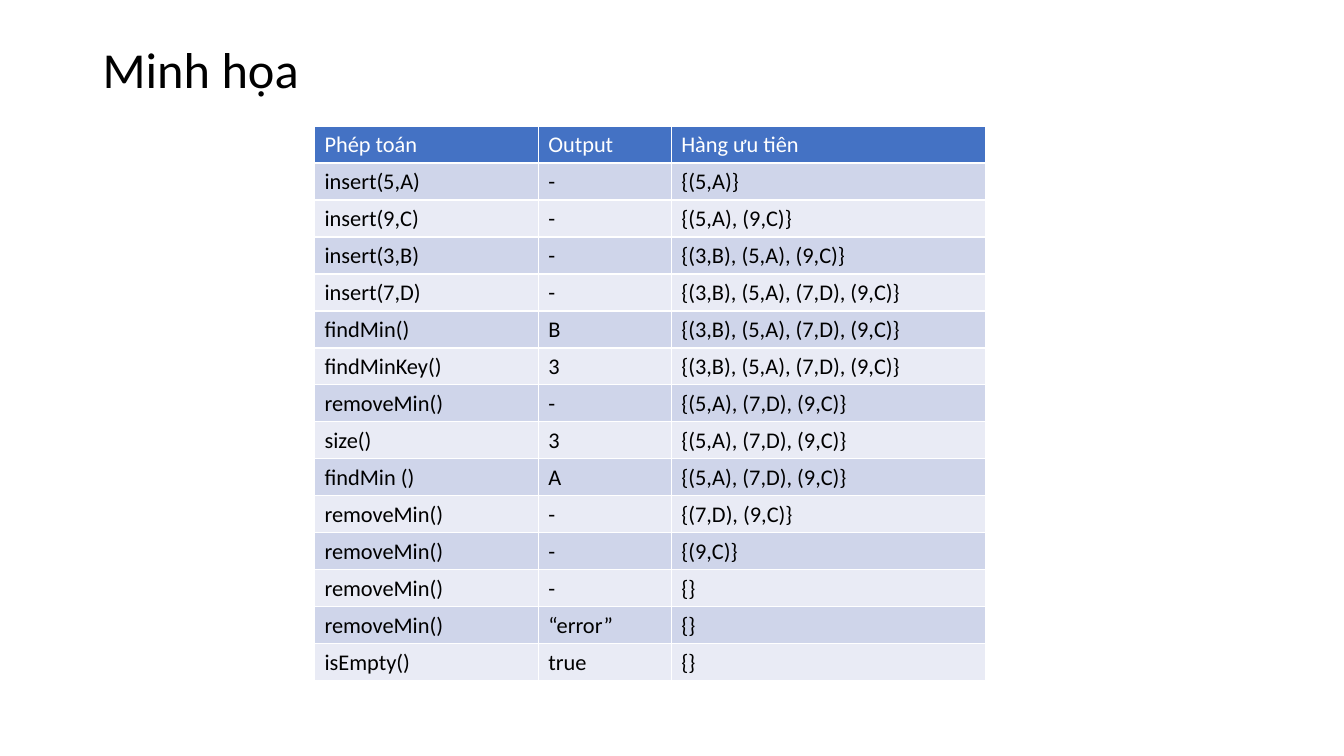
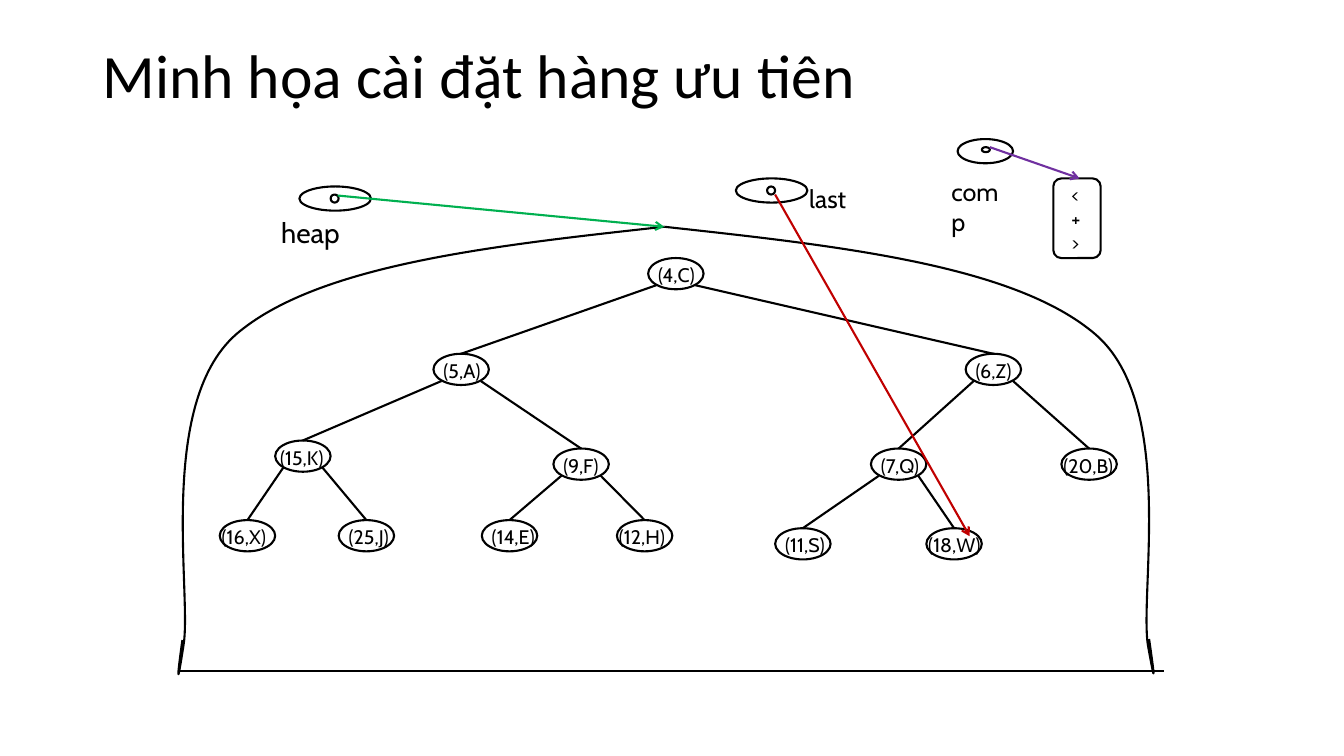
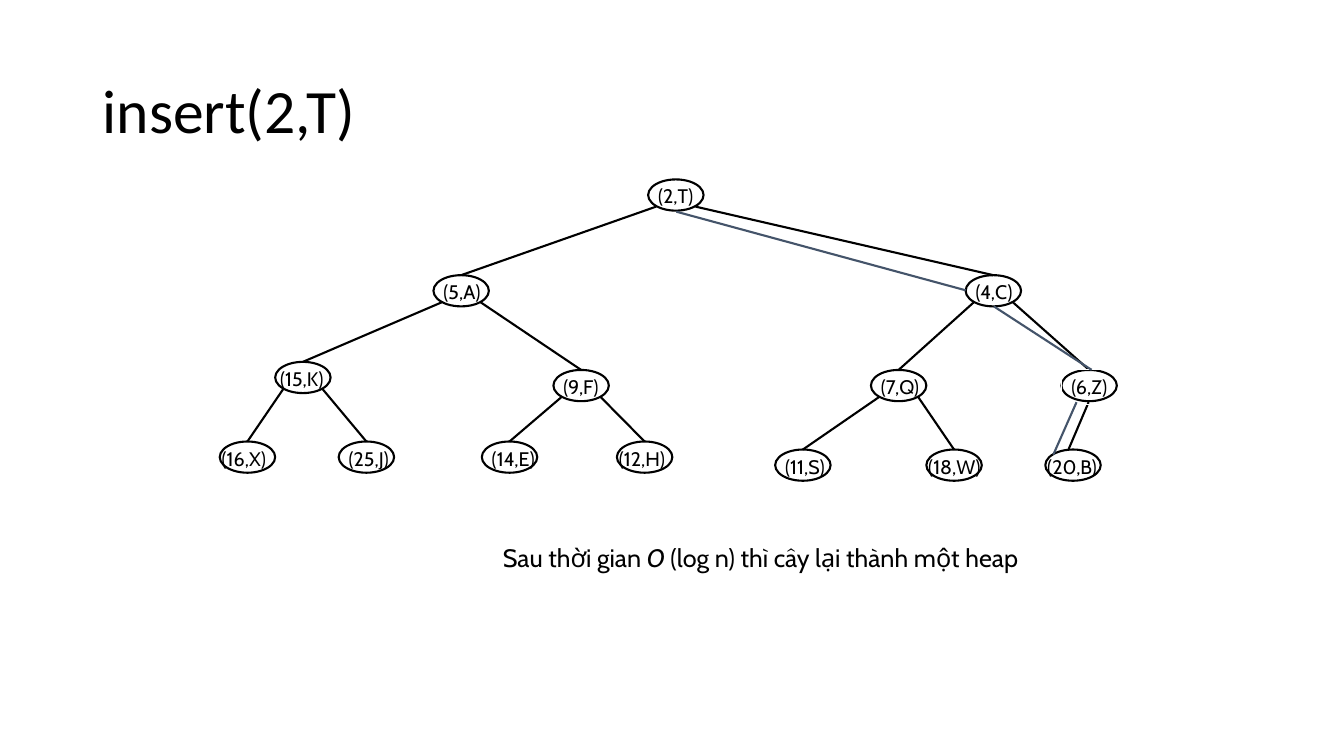
from lxml import etree
from pptx import Presentation
from pptx.dml.color import RGBColor
from pptx.enum.shapes import MSO_CONNECTOR, MSO_SHAPE
from pptx.enum.text import MSO_ANCHOR, MSO_AUTO_SIZE, PP_ALIGN
from pptx.oxml.ns import qn
from pptx.util import Inches, Pt

OVAL = MSO_SHAPE.OVAL
RECTANGLE = MSO_SHAPE.RECTANGLE
ROUNDED = MSO_SHAPE.ROUNDED_RECTANGLE
STRAIGHT = MSO_CONNECTOR.STRAIGHT
TOP = MSO_ANCHOR.TOP
MIDDLE = MSO_ANCHOR.MIDDLE
LEFT = PP_ALIGN.LEFT
GROW = MSO_AUTO_SIZE.SHAPE_TO_FIT_TEXT

COLORS = {
    "black": "000000", "white": "FFFFFF", "header": "4472C4",
    "odd": "CFD5EA", "even": "E9EBF5", "green": "00B050",
    "red": "C00000", "purple": "7030A0", "slate": "44546A",
}
TITLE_FONT = "Calibri"
BODY_FONT = "Cabin"

OPERATIONS = [
    ("Phép toán", "Output", "Hàng ưu tiên"),
    ("insert(5,A)", "-", "{(5,A)}"),
    ("insert(9,C)", "-", "{(5,A), (9,C)}"),
    ("insert(3,B)", "-", "{(3,B), (5,A), (9,C)}"),
    ("insert(7,D)", "-", "{(3,B), (5,A), (7,D), (9,C)}"),
    ("findMin()", "B", "{(3,B), (5,A), (7,D), (9,C)}"),
    ("findMinKey()", "3", "{(3,B), (5,A), (7,D), (9,C)}"),
    ("removeMin()", "-", "{(5,A), (7,D), (9,C)}"),
    ("size()", "3", "{(5,A), (7,D), (9,C)}"),
    ("findMin ()", "A", "{(5,A), (7,D), (9,C)}"),
    ("removeMin()", "-", "{(7,D), (9,C)}"),
    ("removeMin()", "-", "{(9,C)}"),
    ("removeMin()", "-", "{}"),
    ("removeMin()", "“error”", "{}"),
    ("isEmpty()", "true", "{}"),
]
TABLE_PLACE = (3.12, 1.25, 6.67, 5.5)
COLUMN_WIDTHS = (2.22, 1.32, 3.12)
ROW_HEIGHT = 0.35

NODE_WIDTH, NODE_HEIGHT = 0.55, 0.31
EDGE_INSET, EDGE_DROP = 0.08, 0.27
LABEL_HEIGHT = 0.34
TREE_FIELDS = ("left", "depth", "parent", "label_shift", "label_width")
TREE_ROWS = {
    "root": (6.43, 0, None, 0, 0.87),
    "left": (4.3, 0.95, "root", 0, 0.61),
    "right": (9.58, 0.95, "root", 0, 0.6),
    "15": (2.73, 1.81, "left", -0.05, 0.67),
    "9": (5.49, 1.89, "left", 0, 0.59),
    "7": (8.64, 1.89, "right", 0, 0.62),
    "last": (10.53, 1.89, "right", -0.08, 0.71),
    "16": (2.18, 2.6, "15", -0.08, 0.68),
    "25": (3.36, 2.6, "15", 0, 0.66),
    "14": (4.78, 2.6, "9", 0, 0.66),
    "12": (6.12, 2.6, "9", -0.08, 0.68),
    "18": (9.19, 2.68, "7", -0.08, 0.74),
    "11": (7.69, 2.68, "7", 0, 0.63),
}
TREE = {name: dict(zip(TREE_FIELDS, row)) for name, row in TREE_ROWS.items()}
HEAP_LABELS = {
    "root": "(4,C)", "left": "(5,A)", "right": "(6,Z)", "15": "(15,K)",
    "9": "(9,F)", "7": "(7,Q)", "last": "(20,B)", "16": "(16,X)",
    "25": "(25,J)", "14": "(14,E)", "12": "(12,H)", "11": "(11,S)",
    "18": "(18,W)",
}
BOXED_NODES = ("right", "18", "last")
INSERTED_LABELS = {name: label for name, label in HEAP_LABELS.items()
                   if name not in BOXED_NODES}
INSERTED_LABELS["root"] = "(2,T)"
BACK_BOXES = [
    ("(4,C)", (9.58, 2.73, 0.61, LABEL_HEIGHT), None),
    ("(20,B)", (10.29, 4.46, 0.71, LABEL_HEIGHT), None),
    ("(18,W)", (9.11, 4.46, 0.74, LABEL_HEIGHT), "white"),
]
FRONT_BOX = ("(6,Z)", (10.53, 3.67, 0.6, LABEL_HEIGHT), None)

HEAP_OUTLINES = [
    [(6.59, 2.25), (8.33, 2.44), (10.07, 2.63), (10.87, 3.32), (11.67, 4.01),
     (11.3, 5.9), (11.39, 6.41), (11.48, 6.91), (11.44, 6.62), (11.4, 6.34)],
    [(6.59, 2.25), (4.86, 2.44), (3.14, 2.63), (2.34, 3.32), (1.55, 4.02),
     (1.91, 5.91), (1.82, 6.41), (1.74, 6.92), (1.77, 6.63), (1.81, 6.35)],
]
POINTER_OVALS = [
    (2.97, 1.85, 0.71, 0.24), (3.28, 1.93, 0.08, 0.08),
    (7.3, 1.77, 0.71, 0.24), (7.61, 1.85, 0.08, 0.08),
    (9.5, 1.38, 0.55, 0.24), (9.74, 1.46, 0.08, 0.05),
]
POINTER_ARROWS = [
    ((3.35, 1.94), (6.59, 2.25), "green"),
    ((7.69, 1.93), (9.62, 5.32), "red"),
    ((9.82, 1.46), (10.71, 1.77), "purple"),
]
POINTER_LABELS = [
    ("heap", (2.69, 2.09, 0.79, 0.44), 20, False),
    ("last", (7.93, 1.77, 0.58, 0.4), 18, False),
    ("comp", (9.34, 1.7, 0.78, 0.4), 18, True),
]
UPHEAP_PATH = [
    ((10.45, 4.51), (10.68, 3.99)),
    ((10.83, 3.67), (9.86, 3.04)),
    ((9.58, 2.88), (6.71, 2.1)),
]
CONCLUSION = [("Sau thời gian ", False), ("O ", True),
              ("(log n) thì cây lại thành một heap", False)]


def color(name):
    return RGBColor.from_string(COLORS[name])


def box(values):
    return [Inches(value) for value in values]


def add_run(paragraph, text, **formats):
    run = paragraph.add_run()
    run.text = text
    font = run.font
    font.color.rgb = color(formats.pop("color", "black"))
    for name, value in formats.items():
        setattr(font, name, value)


def fill_text(shape, paragraphs, size=14, wrap=False):
    frame = shape.text_frame
    for name, value in {"word_wrap": wrap, "auto_size": GROW, "vertical_anchor": TOP}.items():
        setattr(frame, name, value)
    for index, runs in enumerate(paragraphs):
        paragraph = frame.add_paragraph() if index else frame.paragraphs[0]
        paragraph.alignment = LEFT
        for text, italic in runs:
            add_run(paragraph, text, size=Pt(size), name=BODY_FONT, italic=italic)


def add_text(slide, place, paragraphs, size=14, wrap=False):
    fill_text(slide.shapes.add_textbox(*box(place)), paragraphs, size, wrap)


def add_title(slide, text, size=44, anchor=TOP):
    frame = slide.shapes.add_textbox(*box((0.92, 0.4, 11.5, 1.45))).text_frame
    frame.word_wrap = True
    frame.vertical_anchor = anchor
    paragraph = frame.paragraphs[0]
    paragraph.line_spacing = 0.9
    add_run(paragraph, text, size=Pt(size), name=TITLE_FONT)


def outline(shape, line_color="black", width=1.5):
    shape.shadow.inherit = False
    shape.fill.background()
    shape.line.color.rgb = color(line_color)
    shape.line.width = Pt(width)


def add_outline(slide, kind, place):
    outline(slide.shapes.add_shape(kind, *box(place)))


def add_label_box(slide, text, place, fill):
    shape = slide.shapes.add_shape(RECTANGLE, *box(place))
    outline(shape, "white", 0.75)
    if fill:
        shape.fill.solid()
        shape.fill.fore_color.rgb = color(fill)
        shape.line.fill.background()
    fill_text(shape, [[(text, False)]])


def add_line(slide, start, end, line_color="black", arrow=False):
    connector = slide.shapes.add_connector(STRAIGHT, *box(start + end))
    connector.line.color.rgb = color(line_color)
    connector.line.width = Pt(1.5)
    properties = connector._element.spPr
    if arrow:
        etree.SubElement(properties.find(qn("a:ln")), qn("a:tailEnd"), type="arrow")
    etree.SubElement(properties, qn("a:effectLst"))


def add_tree(slide, top, labels):
    for node in TREE.values():
        add_outline(slide, OVAL, (node["left"], top + node["depth"], NODE_WIDTH, NODE_HEIGHT))
    for node in TREE.values():
        if node["parent"]:
            parent = TREE[node["parent"]]
            inset = EDGE_INSET if node["left"] < parent["left"] else NODE_WIDTH - EDGE_INSET
            add_line(slide, (parent["left"] + inset, top + parent["depth"] + EDGE_DROP),
                     (node["left"] + NODE_WIDTH / 2, top + node["depth"]))
    for name, label in labels.items():
        node = TREE[name]
        place = (node["left"] + node["label_shift"], top + node["depth"],
                 node["label_width"], LABEL_HEIGHT)
        add_text(slide, place, [[(label, False)]], wrap=node["parent"] is None)


def add_curve(slide, points):
    builder = slide.shapes.build_freeform(*box(points[0]))
    builder.add_line_segments([box(point) for point in points[1:]], close=False)
    shape = builder.convert_to_shape()
    segments = list(shape._element.iter(qn("a:lnTo")))
    for first in range(0, len(segments), 3):
        curve = etree.Element(qn("a:cubicBezTo"))
        segments[first].addprevious(curve)
        for segment in segments[first:first + 3]:
            curve.append(segment[0])
            segment.getparent().remove(segment)
    outline(shape)


def style_cell(cell, text, fill, text_color):
    properties = cell._tc.get_or_add_tcPr()
    for side in ("lnL", "lnR", "lnT", "lnB"):
        border = etree.SubElement(properties, qn("a:" + side), w=str(Pt(1)))
        border_fill = etree.SubElement(border, qn("a:solidFill"))
        etree.SubElement(border_fill, qn("a:srgbClr"), val=COLORS["white"])
    cell.fill.solid()
    cell.fill.fore_color.rgb = color(fill)
    add_run(cell.text_frame.paragraphs[0], text, size=Pt(16), name=TITLE_FONT,
            bold=False, color=text_color)


def build_operations(slide):
    add_title(slide, "Minh họa", 36)
    frame = slide.shapes.add_table(len(OPERATIONS), len(COLUMN_WIDTHS), *box(TABLE_PLACE))
    table = frame.table
    for column, width in zip(table.columns, COLUMN_WIDTHS):
        column.width = Inches(width)
    for index, values in enumerate(OPERATIONS):
        table.rows[index].height = Inches(ROW_HEIGHT)
        fill = ("odd" if index % 2 else "even") if index else "header"
        for column, text in enumerate(values):
            style_cell(table.cell(index, column), text, fill, "black" if index else "white")
    frame.height = Inches(TABLE_PLACE[3])


def build_heap(slide):
    add_title(slide, "Minh họa cài đặt hàng ưu tiên")
    add_tree(slide, 2.56, HEAP_LABELS)
    add_line(slide, (1.78, 6.66), (11.55, 6.66))
    for points in HEAP_OUTLINES:
        add_curve(slide, points)
    for place in POINTER_OVALS:
        add_outline(slide, OVAL, place)
    add_outline(slide, ROUNDED, (10.45, 1.77, 0.47, 0.79))
    add_text(slide, (10.53, 1.77, 0.3, 0.81), [[(sign, False)] for sign in "<+>"])
    for start, end, line_color in POINTER_ARROWS:
        add_line(slide, start, end, line_color, arrow=True)
    for text, place, size, wrap in POINTER_LABELS:
        add_text(slide, place, [[(text, False)]], size, wrap)


def build_insertion(slide):
    for label_box in BACK_BOXES:
        add_label_box(slide, *label_box)
    add_title(slide, "insert(2,T)", anchor=MIDDLE)
    add_tree(slide, 1.78, INSERTED_LABELS)
    add_line(slide, (10.8, 3.99), (10.6, 4.46))
    add_label_box(slide, *FRONT_BOX)
    add_text(slide, (4.89, 5.33, 5.36, 0.4), [CONCLUSION], 18)
    add_outline(slide, OVAL, (10.37, 4.46, NODE_WIDTH, NODE_HEIGHT))
    for start, end in UPHEAP_PATH:
        add_line(slide, start, end, "slate")


def main():
    presentation = Presentation()
    presentation.slide_width, presentation.slide_height = box((40 / 3, 7.5))
    for build in (build_operations, build_heap, build_insertion):
        build(presentation.slides.add_slide(presentation.slide_layouts[6]))
    presentation.save("out.pptx")


if __name__ == "__main__":
    main()
